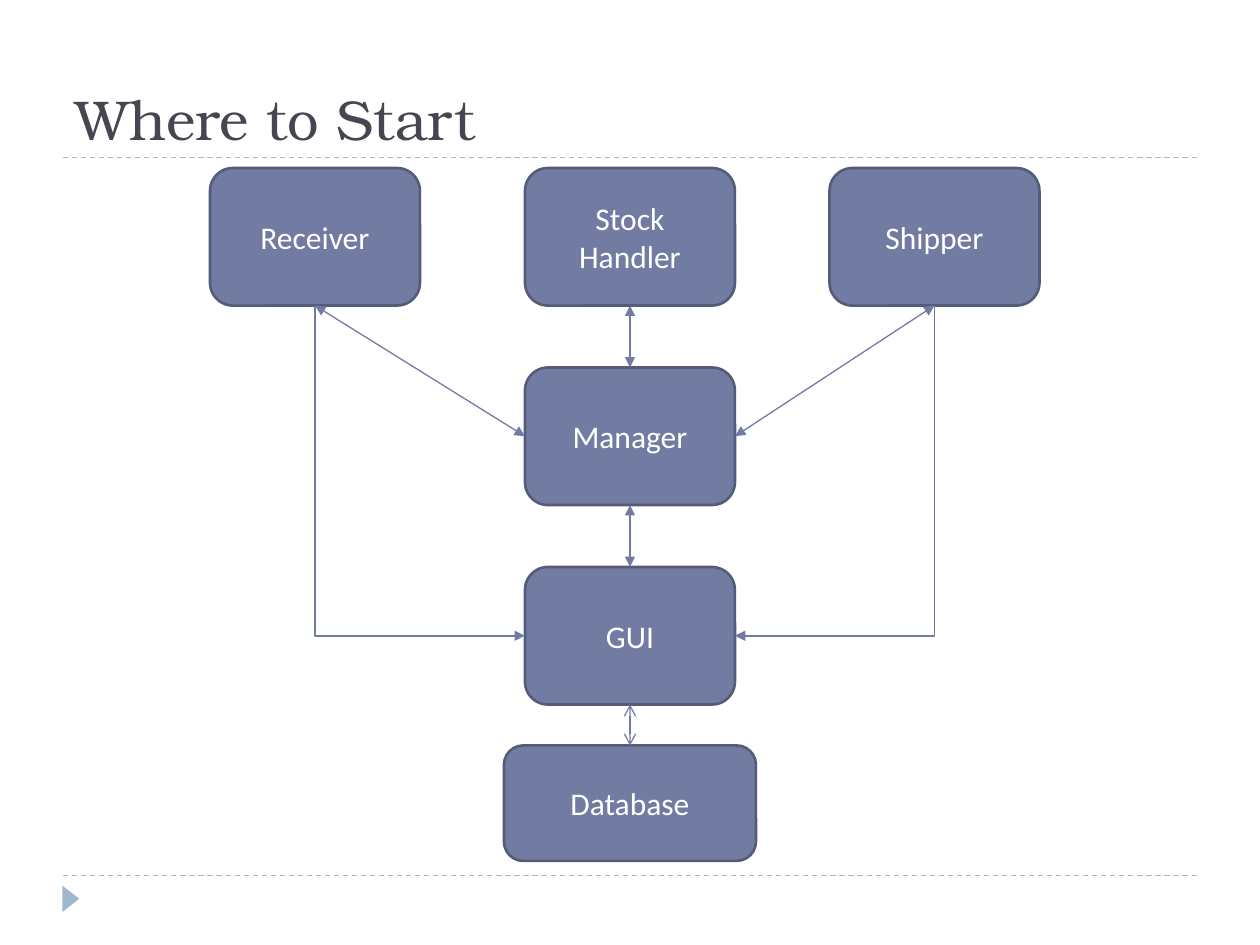
from lxml.etree import SubElement
from pptx import Presentation
from pptx.dml.color import RGBColor
from pptx.enum.dml import MSO_LINE
from pptx.enum.shapes import MSO_CONNECTOR as Connector, MSO_SHAPE as Shape
from pptx.enum.text import MSO_ANCHOR as Anchor, PP_ALIGN as Align
from pptx.oxml.ns import qn
from pptx.util import Inches, Pt

COLORS = {"title": "464653", "accent": "9FB8CD", "box": "727CA3",
          "border": "545C79", "text": "FFFFFF"}
UNIT = Inches(10) / 120
TOP, LEFT, BOTTOM, RIGHT = range(4)
BOX_WIDTH, BOX_HEIGHT = 20, 13.1
BOXES = {
    "Database": (48, 71, 24, 11),
    "Stock Handler": (50, 16, BOX_WIDTH, BOX_HEIGHT),
    "Manager": (50, 35, BOX_WIDTH, BOX_HEIGHT),
    "Shipper": (79, 16, BOX_WIDTH, BOX_HEIGHT),
    "Receiver": (20, 16, BOX_WIDTH, BOX_HEIGHT),
    "GUI": (50, 54, BOX_WIDTH, BOX_HEIGHT),
}


def grid(*cells):
    """Convert cells of the 120 by 90 grid to lengths."""
    return [round(cell * UNIT) for cell in cells]


def color(name):
    """Return the named colour."""
    return RGBColor.from_string(COLORS[name])


def style_font(paragraph, name, size, color_name):
    """Set the font of a whole paragraph."""
    paragraph.font.name = name
    paragraph.font.size = Pt(size)
    paragraph.font.color.rgb = color(color_name)


def style_line(connector, color_name, width):
    """Set a connector's colour and width and drop its shadow."""
    connector.line.color.rgb = color(color_name)
    connector.line.width = Pt(width)
    SubElement(connector._element.spPr, qn("a:effectLst"))


def add_title(slide, text):
    """Add the slide title above the upper rule."""
    frame = slide.shapes.add_textbox(*grid(6, 3, 108, 12)).text_frame
    frame.word_wrap = True
    frame.vertical_anchor = Anchor.BOTTOM
    frame.text = text
    style_font(frame.paragraphs[0], "TeX Gyre Bonum", 32, "title")


def add_rule(slide, row):
    """Add a dashed rule across the slide."""
    rule = slide.shapes.add_connector(Connector.STRAIGHT, *grid(6, row, 114, row))
    style_line(rule, "accent", 0.75)
    rule.line.dash_style = MSO_LINE.DASH


def add_marker(slide):
    """Add the footer triangle pointing right."""
    marker = slide.shapes.add_shape(Shape.ISOSCELES_TRIANGLE,
                                    *grid(5.5, 84.8, 2.5, 1.6))
    marker.rotation = 90
    marker.shadow.inherit = False
    marker.fill.solid()
    marker.fill.fore_color.rgb = color("accent")
    marker.line.fill.background()


def add_box(slide, text, cells):
    """Add a labelled rounded box and return it."""
    box = slide.shapes.add_shape(Shape.ROUNDED_RECTANGLE, *grid(*cells))
    box.shadow.inherit = False
    box.fill.solid()
    box.fill.fore_color.rgb = color("box")
    box.line.color.rgb = color("border")
    box.line.width = Pt(1.5)
    frame = box.text_frame
    frame.word_wrap = True
    frame.vertical_anchor = Anchor.MIDDLE
    frame.text = text
    paragraph = frame.paragraphs[0]
    paragraph.alignment = Align.CENTER
    style_font(paragraph, "Calibri", 18, "text")
    return box


def add_link(slide, start, end, width, head="triangle", tail="triangle", bent=False):
    """Connect two (box, side) pairs with arrowheads."""
    kind = Connector.ELBOW if bent else Connector.STRAIGHT
    link = slide.shapes.add_connector(kind, 0, 0, 0, 0)
    link.begin_connect(*start)
    link.end_connect(*end)
    if bent:
        link._element.spPr.find(qn("a:prstGeom")).set("prst", "bentConnector2")
    style_line(link, "box", width)
    line = link.line._get_or_add_ln()
    for tag, arrow in (("a:headEnd", head), ("a:tailEnd", tail)):
        SubElement(line, qn(tag), type=arrow)


def main():
    """Build the slide and save it."""
    presentation = Presentation()
    presentation.slide_width, presentation.slide_height = grid(120, 90)
    slide = presentation.slides.add_slide(presentation.slide_layouts[6])
    for row in (83.4, 15):
        add_rule(slide, row)
    add_marker(slide)
    add_title(slide, "Where to Start")
    boxes = {text: add_box(slide, text, cells) for text, cells in BOXES.items()}
    manager, gui = boxes["Manager"], boxes["GUI"]
    add_link(slide, (manager, BOTTOM), (gui, TOP), 1)
    add_link(slide, (boxes["Stock Handler"], BOTTOM), (manager, TOP), 1)
    for name, side in (("Receiver", LEFT), ("Shipper", RIGHT)):
        worker = (boxes[name], BOTTOM)
        add_link(slide, (gui, side), worker, 1, tail="none", bent=True)
        add_link(slide, worker, (manager, side), 0.75)
    add_link(slide, (gui, BOTTOM), (boxes["Database"], TOP), 0.75, "arrow", "arrow")
    presentation.save("out.pptx")


if __name__ == "__main__":
    main()
